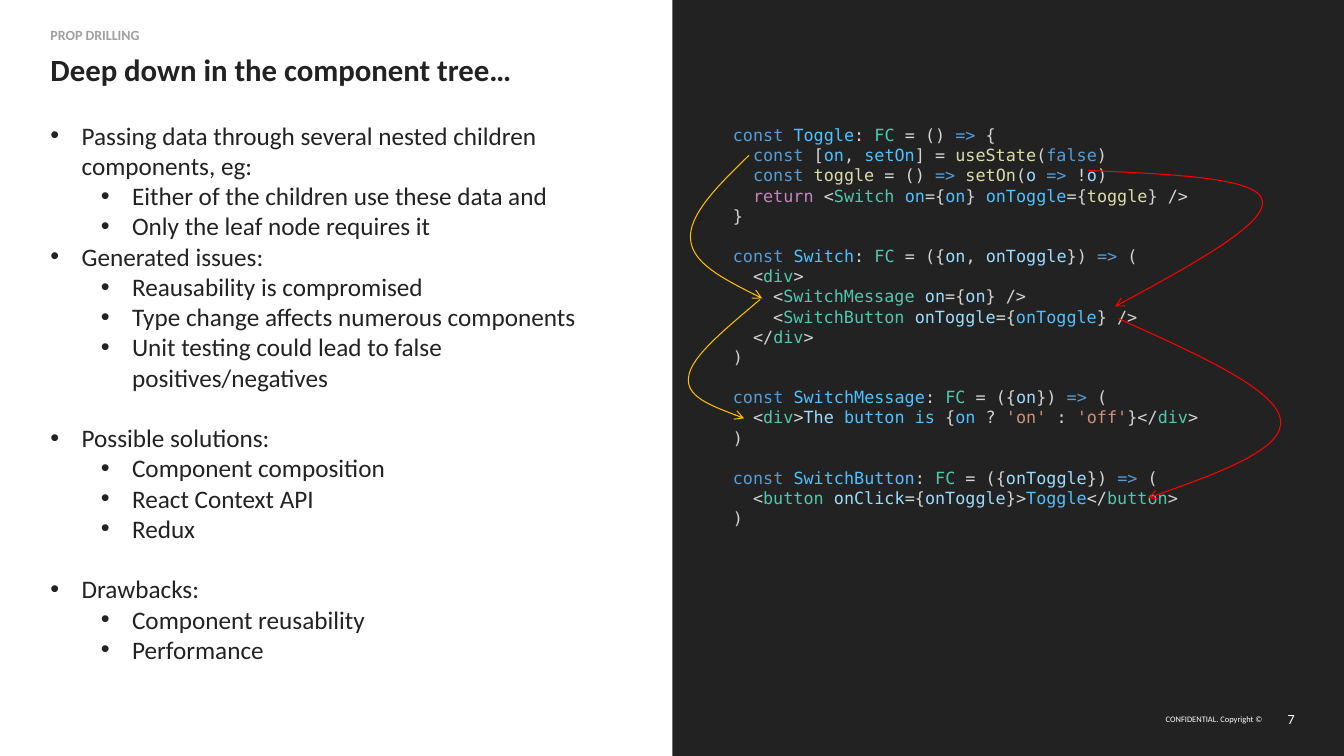
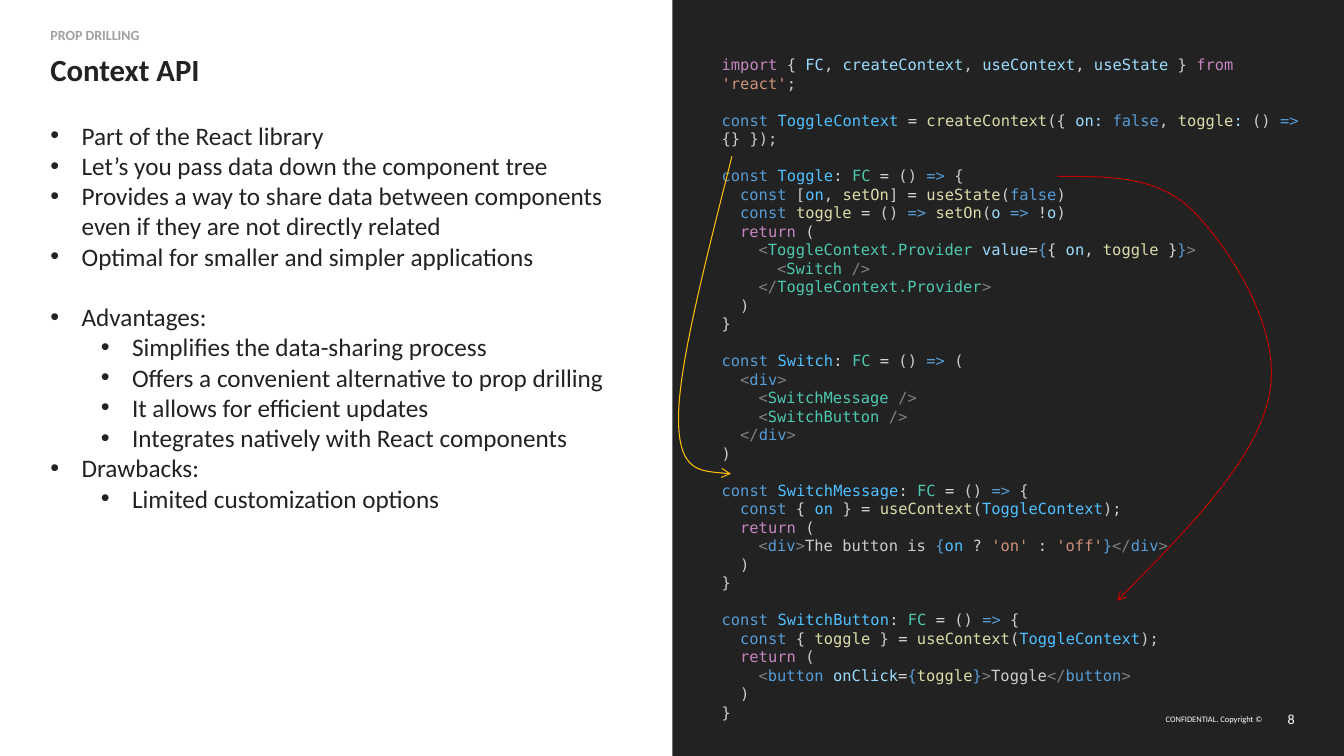
from dataclasses import dataclass

from pptx import Presentation
from pptx.dml.color import RGBColor
from pptx.enum.shapes import MSO_SHAPE as Shape
from pptx.enum.text import MSO_ANCHOR as Anchor, PP_ALIGN as Align
from pptx.oxml.ns import qn
from pptx.util import Inches, Pt


@dataclass(frozen=True)
class Theme:
    sans: str = "Calibri"
    mono: str = "DejaVu Sans Mono"
    dark: str = "222222"
    white: str = "FFFFFF"
    muted: str = "A0A0A0"
    yellow: str = "FFC000"
    red: str = "FF0000"
    crimson: str = "C00000"
    title_size: int = 22
    body_size: int = 18
    small_size: int = 10
    legal_size: int = 6
    leading: float = 1.2      # line pitch / type size
    mono_width: float = 0.6   # character width / type size


T = Theme()

# Syntax colours; in the code below "~x" starts a run in colour x
SYNTAX = {
    "k": "569CD6",  # keyword
    "c": "4FC1FF",  # constant
    "v": "9CDCFE",  # variable
    "f": "DCDCAA",  # function
    "t": "4EC9B0",  # type
    "r": "C586C0",  # control flow
    "s": "CE9178",  # string
    "o": "D4D4D4",  # operator
    "p": "CCCCCC",  # punctuation
    "g": "808080",  # tag bracket
}

SECTION = "PROP DRILLING"
LEGAL = "CONFIDENTIAL. Copyright ©"

# Bullets are (level, text); None leaves a gap of one line, as "" does in code.
# Curves are a start point followed by three points per Bezier segment.
SLIDES = [
    {
        "number": 7,
        "title": "Deep down in the component tree…",
        "bullets": [
            (0, "Passing data through several nested children components, eg:"),
            (1, "Either of the children use these data and"),
            (1, "Only the leaf node requires it"),
            (0, "Generated issues:"),
            (1, "Reausability is compromised"),
            (1, "Type change affects numerous components"),
            (1, "Unit testing could lead to false positives/negatives"),
            None,
            (0, "Possible solutions:"),
            (1, "Component composition"),
            (1, "React Context API"),
            (1, "Redux"),
            None,
            (0, "Drawbacks:"),
            (1, "Component reusability"),
            (1, "Performance"),
        ],
        "code_box": (7.17, 1.19, 5.78, 4.54),
        "code_size": 12,
        "code": [
            "~kconst ~cToggle~o: ~tFC~o = () ~k=>~o {",
            "  ~kconst~o [~con~o, ~csetOn~o] = ~fuseState~o(~kfalse~o)",
            "  ~kconst ~ftoggle~o = () ~k=> ~fsetOn~o(~vo ~k=>~o !~vo~o)",
            "  ~rreturn~o <~tSwitch ~con~o={~con~o} ~conToggle~o={~ftoggle~o} />",
            "~o}",
            "",
            "~kconst ~cSwitch~o: ~tFC~o = ({~von~o, ~vonToggle~o}) ~k=>~o (",
            "  ~o<~tdiv~o>",
            "    ~o<~tSwitchMessage ~von~o={~von~o} />",
            "    ~o<~tSwitchButton ~vonToggle~o={~conToggle~o} />",
            "  ~o</~tdiv~o>",
            "~o)",
            "",
            "~kconst ~cSwitchMessage~o: ~tFC~o = ({~von~o}) ~k=>~o (",
            "  ~o<~tdiv~o>~vThe ~cbutton is~o {~con~o ? ~s'on'~o : ~s'off'~o}</~tdiv~o>",
            "~o)",
            "",
            "~kconst ~cSwitchButton~o: ~tFC~o = ({~vonToggle~o}) ~k=>~o (",
            "  ~o<~tbutton ~vonClick~o={~vonToggle~o}>~cToggle~o</~tbutton~o>",
            "~o)",
        ],
        "curves": [
            (T.red, [(10.79, 1.69), (11.63, 1.73), (12.48, 1.76), (12.52, 1.99),
                     (12.57, 2.21), (11.82, 2.63), (11.06, 3.04)]),
            (T.red, [(11.09, 3.16), (11.87, 3.51), (12.65, 3.86), (12.7, 4.16),
                     (12.75, 4.45), (12.07, 4.7), (11.39, 4.94)]),
            (T.yellow, [(7.43, 1.54), (7.12, 1.84), (6.82, 2.14), (6.85, 2.38),
                        (6.87, 2.61), (7.22, 2.79), (7.56, 2.96)]),
            (T.yellow, [(7.54, 2.97), (7.2, 3.26), (6.85, 3.54), (6.83, 3.74),
                        (6.8, 3.93), (7.09, 4.04), (7.38, 4.15)]),
        ],
    },
    {
        "number": 8,
        "title": "Context API",
        "bullets": [
            (0, "Part of the React library"),
            (0, "Let’s you pass data down the component tree"),
            (0, "Provides a way to share data between components even if they "
                "are not directly related"),
            (0, "Optimal for smaller and simpler applications"),
            None,
            (0, "Advantages:"),
            (1, "Simplifies the data-sharing process"),
            (1, "Offers a convenient alternative to prop drilling"),
            (1, "It allows for efficient updates"),
            (1, "Integrates natively with React components"),
            (0, "Drawbacks:"),
            (1, "Limited customization options"),
        ],
        "code_box": (7.06, 0.5, 6.07, 6.58),
        "code_size": 11,
        "code": [
            "~rimport~p { ~vFC~p, ~vcreateContext~p, ~vuseContext~p, ~vuseState~p } "
            "~rfrom ~s'react'~p;",
            "",
            "~kconst ~cToggleContext ~o= ~fcreateContext~p({ ~von: ~kfalse~p, "
            "~ftoggle~v:~p () ~k=>~p {} });",
            "",
            "~kconst ~cToggle~o: ~tFC ~o=~p () ~k=>~p {",
            "  ~kconst~p [~con~p, ~fsetOn~p] ~o= ~fuseState~p(~kfalse~p)",
            "  ~kconst ~ftoggle ~o=~p () ~k=> ~fsetOn~p(~vo ~k=> ~o!~vo~p)",
            "  ~rreturn~p (",
            "    ~g<~tToggleContext.Provider ~vvalue~o=~k{~o{ ~von~o, ~ftoggle~o }~k}~g>",
            "      ~g<~tSwitch ~g/>",
            "    ~g</~tToggleContext.Provider~g>",
            "  ~p)",
            "~p}",
            "",
            "~kconst ~cSwitch~o: ~tFC ~o=~p () ~k=>~p (",
            "  ~g<~kdiv~g>",
            "    ~g<~tSwitchMessage ~g/>",
            "    ~g<~tSwitchButton ~g/>",
            "  ~g</~kdiv~g>",
            "~p)",
            "",
            "~kconst ~cSwitchMessage~o: ~tFC ~o=~p () ~k=>~p {",
            "  ~kconst~p { ~con~p } ~o= ~fuseContext~p(~cToggleContext~p);",
            "  ~rreturn~p (",
            "    ~g<~kdiv~g>~pThe button is ~k{~con~o ? ~s'on'~o : ~s'off'~k}~g</~kdiv~g>",
            "  ~p)",
            "~p}",
            "",
            "~kconst ~cSwitchButton~o: ~tFC ~o=~p () ~k=>~p {",
            "  ~kconst~p { ~ftoggle~p } ~o= ~fuseContext~p(~cToggleContext~p);",
            "  ~rreturn~p (",
            "    ~g<~kbutton ~vonClick~o=~k{~ftoggle~k}~g>~pToggle~g</~kbutton~g>",
            "  ~p)",
            "~p}",
        ],
        "curves": [
            (T.crimson, [(10.49, 1.75), (10.99, 1.75), (11.49, 1.74), (11.84, 2.1),
                         (12.19, 2.46), (12.72, 3.26), (12.59, 3.91),
                         (12.47, 4.55), (11.77, 5.26), (11.08, 5.96)]),
            (T.yellow, [(7.26, 1.55), (7, 2.59), (6.73, 3.62), (6.73, 4.15),
                        (6.73, 4.67), (6.99, 4.68), (7.25, 4.7)]),
        ],
    },
]


# Text helpers
def style(run, size, color, font=T.sans, bold=False):
    run.font.name, run.font.size, run.font.bold = font, Pt(size), bold
    run.font.color.rgb = RGBColor.from_string(color)


def frame(sp, inset=True):
    tf = sp.text_frame
    tf.word_wrap, tf.vertical_anchor = True, Anchor.TOP
    if not inset:
        tf.margin_left = tf.margin_right = tf.margin_top = tf.margin_bottom = 0
    return tf


def textbox(slide, box, inset=True):
    return frame(slide.shapes.add_textbox(*map(Inches, box)), inset)


def label(tf, text, size, color, bold=False, align=Align.LEFT):
    tf.text = text
    p = tf.paragraphs[0]
    p.alignment = align
    style(p.runs[0], size, color, bold=bold)
    return p


def spaced_paragraphs(tf, items, size):
    """Yield (paragraph, item); an empty item adds a line of space before the next."""
    pitch = Pt(size * T.leading)
    p, gap = None, False
    for item in items:
        if not item:
            gap = True
            continue
        p = tf.add_paragraph() if p is not None else tf.paragraphs[0]
        p.line_spacing = pitch
        p.space_before = pitch if gap else Pt(0)
        gap = False
        yield p, item


def indent(p, left, hanging=0):
    pPr = p._p.get_or_add_pPr()
    pPr.set("marL", str(int(left)))
    pPr.set("indent", str(-int(hanging)))
    return pPr


# Parts of a slide
def add_shared(slide, title, number):
    panel = slide.shapes.add_shape(
        Shape.RECTANGLE, Inches(6.67), 0, Inches(6.67), Inches(7.5))
    panel.shadow.inherit = False
    panel.fill.solid()
    panel.fill.fore_color.rgb = RGBColor.from_string(T.dark)
    panel.line.fill.background()

    for text, size, left, width in ((LEGAL, T.legal_size, 11.49, 1.03),
                                    (str(number), T.small_size, 12.57, 0.27)):
        tf = textbox(slide, (left, 7.01, width, 0.24), inset=False)
        tf.vertical_anchor = Anchor.MIDDLE
        label(tf, text, size, T.white, align=Align.RIGHT)

    tf = textbox(slide, (0.5, 0.25, 3.95, 0.25), inset=False)
    label(tf, SECTION, T.small_size, T.muted, bold=True).line_spacing = 1.1

    sp = slide.shapes.title
    sp.left, sp.top, sp.width, sp.height = map(Inches, (0.5, 0.5, 5.25, 0.5))
    label(frame(sp, inset=False), title, T.title_size, T.dark, bold=True)


def add_bullets(slide, bullets):
    tf = textbox(slide, (0.5, 1.19, 5.78, 5.45), inset=False)
    for p, (level, text) in spaced_paragraphs(tf, bullets, T.body_size):
        p.text, p.level = text, level
        style(p.runs[0], T.body_size, T.dark)
        pPr = indent(p, Inches(0.31 + 0.5 * level), Inches(0.31))
        font = pPr.makeelement(qn("a:buFont"), {"typeface": "Arial"})
        char = pPr.makeelement(qn("a:buChar"), {"char": "•"})
        pPr.extend([font, char])


def add_code(slide, box, size, code):
    tf = textbox(slide, box)
    for p, line in spaced_paragraphs(tf, code, size):
        lead, *pieces = line.split("~")
        indent(p, Pt(len(lead) * size * T.mono_width))
        for piece in pieces:
            r = p.add_run()
            r.text = piece[1:]
            style(r, size, SYNTAX[piece[0]], T.mono)


def add_curve(slide, color, points):
    start, *rest = [(Inches(x), Inches(y)) for x, y in points]
    builder = slide.shapes.build_freeform(*start, scale=1.0)
    builder.add_line_segments(rest, close=False)
    sp = builder.convert_to_shape()
    sp.shadow.inherit = False
    sp.fill.background()
    sp.line.color.rgb = RGBColor.from_string(color)
    sp.line.width = Pt(0.75)
    ln = sp._element.spPr.find(qn("a:ln"))
    ln.append(ln.makeelement(qn("a:tailEnd"), {"type": "arrow"}))

    # Turn every three line points into one Bezier segment
    segments = list(sp._element.iter(qn("a:lnTo")))
    for i in range(0, len(segments), 3):
        bezier = ln.makeelement(qn("a:cubicBezTo"), {})
        segments[i].addprevious(bezier)
        for seg in segments[i:i + 3]:
            bezier.append(seg[0])
            seg.getparent().remove(seg)


def main():
    prs = Presentation()
    prs.slide_width, prs.slide_height = Inches(13.33), Inches(7.5)
    for content in SLIDES:
        slide = prs.slides.add_slide(prs.slide_layouts[5])
        add_shared(slide, content["title"], content["number"])
        add_bullets(slide, content["bullets"])
        add_code(slide, content["code_box"], content["code_size"], content["code"])
        for color, points in content["curves"]:
            add_curve(slide, color, points)
    prs.save("out.pptx")


if __name__ == "__main__":
    main()
